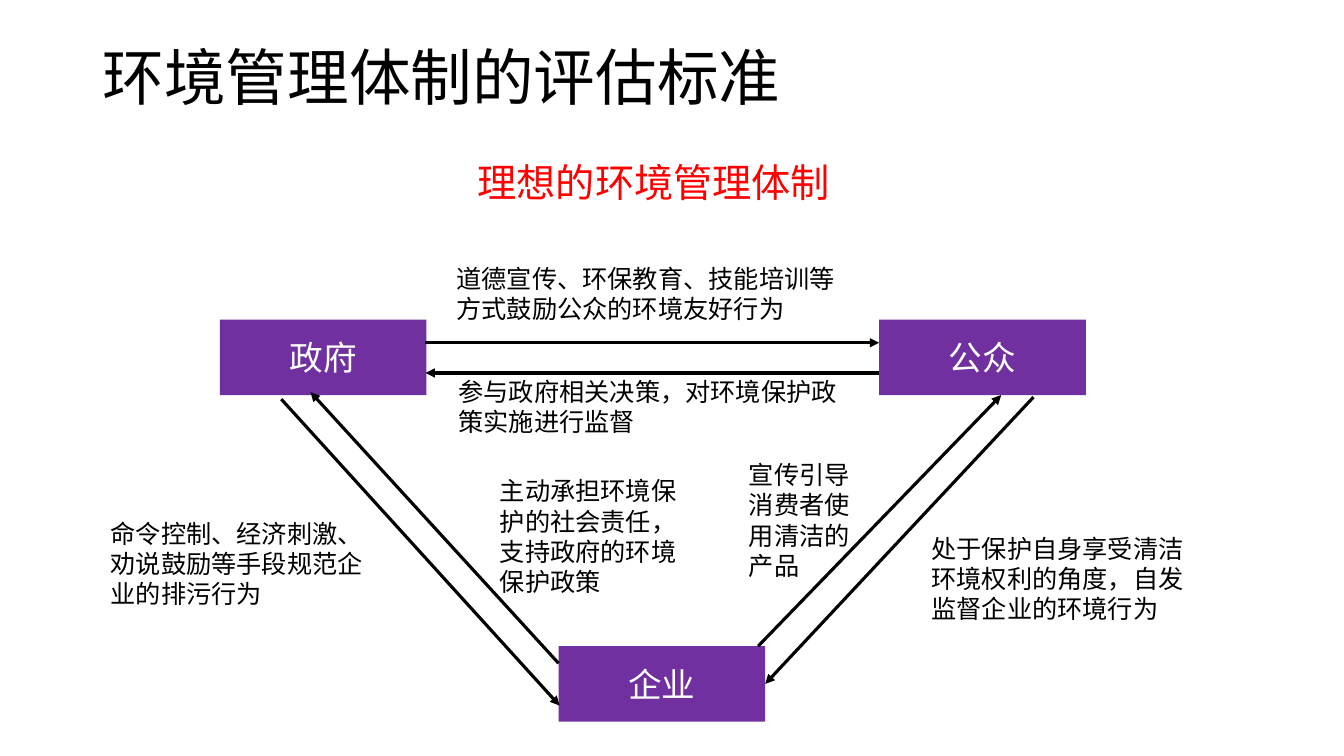
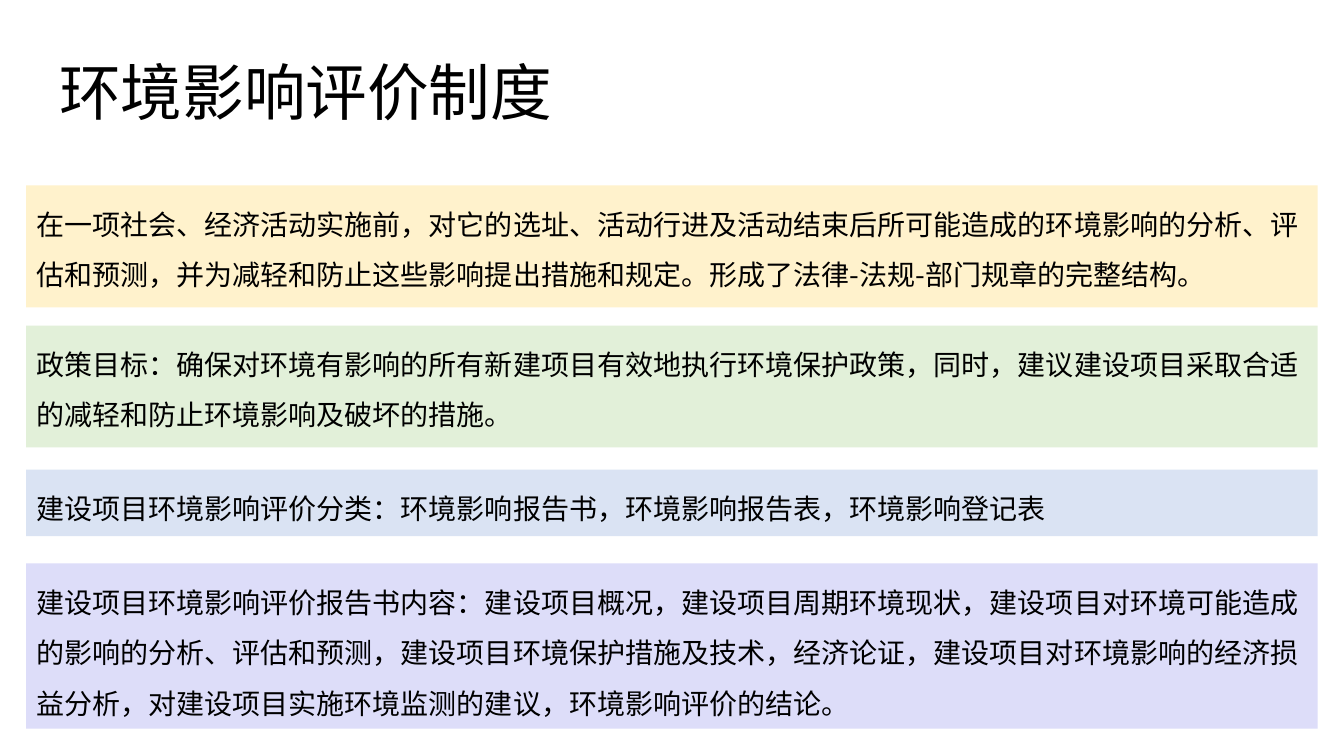
from dataclasses import dataclass

from lxml.etree import SubElement
from pptx import Presentation
from pptx.dml.color import RGBColor
from pptx.enum.shapes import MSO_CONNECTOR as Connector, MSO_SHAPE as Preset
from pptx.enum.text import MSO_ANCHOR as Anchor, PP_ALIGN as Align
from pptx.oxml.ns import qn
from pptx.util import Inches, Pt


@dataclass(frozen=True)
class Theme:
    """Colours, font and type sizes shared by the slides."""
    font: str = "Noto Sans CJK SC"
    ink: str = "000000"
    light: str = "FFFFFF"
    accent: str = "FF0000"
    actor: str = "7030A0"
    bands: tuple = ("FFF2CC", "E2F0D9", "DAE3F3", "DDDDF9")
    title: int = 44
    subtitle: int = 28
    actor_size: int = 24
    body: int = 20
    label: int = 18
    arrow: float = 2.25


THEME = Theme()
ACTOR_SIZE = (2.05, 0.75)
BAND_LEFT, BAND_WIDTH = 0.26, 12.81

ACTORS = {"政府": (2.18, 3.17), "公众": (8.72, 3.17), "企业": (5.54, 6.41)}
ARROWS = [
    ((4.22, 3.4), (8.72, 3.4)),
    ((8.72, 3.7), (4.22, 3.7)),
    ((2.79, 3.96), (5.55, 7)),
    ((5.54, 6.58), (3.08, 3.89)),
    ((7.52, 6.41), (9.93, 3.92)),
]
LABELS = [
    ((1, 5.09, 2.8, 1.01), "命令控制、经济刺激、劝说鼓励等手段规范企业的排污行为"),
    ((4.43, 2.56, 4.1, 0.71), "道德宣传、环保教育、技能培训等方式鼓励公众的环境友好行为"),
    ((9.14, 5.24, 2.8, 1.01), "处于保护自身享受清洁环境权利的角度，自发监督企业的环境行为"),
    ((4.45, 3.68, 4.1, 0.71), "参与政府相关决策，对环境保护政策实施进行监督"),
    ((4.86, 4.67, 2.07, 1.31), "主动承担环境保护的社会责任，支持政府的环境保护政策"),
    ((7.33, 4.51, 1.44, 1.31), "宣传引导消费者使用清洁的产品"),
]
BANDS = [
    (1.84, 1.21, "在一项社会、经济活动实施前，对它的选址、活动行进及活动结束后所可能造成的环境影响的分析、"
                 "评估和预测，并为减轻和防止这些影响提出措施和规定。形成了法律-法规-部门规章的完整结构。"),
    (3.23, 1.21, "政策目标：确保对环境有影响的所有新建项目有效地执行环境保护政策，同时，"
                 "建议建设项目采取合适的减轻和防止环境影响及破坏的措施。"),
    (4.66, 0.66, "建设项目环境影响评价分类：环境影响报告书，环境影响报告表，环境影响登记表"),
    (5.59, 1.64, "建设项目环境影响评价报告书内容：建设项目概况，建设项目周期环境现状，"
                 "建设项目对环境可能造成的影响的分析、评估和预测，建设项目环境保护措施及技术，经济论证，"
                 "建设项目对环境影响的经济损益分析，对建设项目实施环境监测的建议，环境影响评价的结论。"),
]


def write(shape, text, size, color=THEME.ink, align=Align.LEFT, anchor=Anchor.TOP, spacing=1.0):
    """Fill a shape with one wrapped paragraph."""
    frame = shape.text_frame
    frame.word_wrap = True
    frame.vertical_anchor = anchor
    paragraph = frame.paragraphs[0]
    paragraph.alignment = align
    paragraph.line_spacing = spacing
    run = paragraph.add_run()
    run.text = text
    run.font.size = Pt(size)
    run.font.color.rgb = RGBColor.from_string(color)
    run.font.name = THEME.font
    SubElement(run.font._element, qn("a:ea"), typeface=THEME.font)


def add_text(slide, box, text, size, **style):
    """Add a text box."""
    write(slide.shapes.add_textbox(*map(Inches, box)), text, size, **style)


def add_title(slide, box, text):
    """Add the slide title."""
    add_text(slide, box, text, THEME.title, anchor=Anchor.MIDDLE, spacing=0.9)


def add_block(slide, box, fill, text, size, **style):
    """Add a flat filled rectangle with text."""
    block = slide.shapes.add_shape(Preset.RECTANGLE, *map(Inches, box))
    block.shadow.inherit = False
    block.fill.solid()
    block.fill.fore_color.rgb = RGBColor.from_string(fill)
    block.line.fill.background()
    write(block, text, size, **style)
    return block


def add_arrow(slide, start, end):
    """Add a straight arrow pointing at its end."""
    arrow = slide.shapes.add_connector(Connector.STRAIGHT, *map(Inches, (*start, *end)))
    arrow.line.color.rgb = RGBColor.from_string(THEME.ink)
    arrow.line.width = Pt(THEME.arrow)
    SubElement(arrow.line._get_or_add_ln(), qn("a:tailEnd"), type="triangle")
    SubElement(arrow._element.spPr, qn("a:effectLst"))
    return arrow


def build_system_slide(slide):
    """Draw the three actors and their mutual influence."""
    add_title(slide, (0.92, 0.21, 11.5, 1.17), "环境管理体制的评估标准")
    add_text(slide, (0.25, 1.57, 12.47, 0.63), "理想的环境管理体制", THEME.subtitle,
             color=THEME.accent, align=Align.CENTER, spacing=0.9)
    actors = {
        name: add_block(slide, (*corner, *ACTOR_SIZE), THEME.actor, name, THEME.actor_size,
                        color=THEME.light, align=Align.CENTER, anchor=Anchor.MIDDLE)
        for name, corner in ACTORS.items()
    }
    for start, end in ARROWS:
        add_arrow(slide, start, end)
    supervision = add_arrow(slide, (10.25, 3.94), (7.59, 6.79))
    supervision.end_connect(actors["企业"], 3)
    for box, text in LABELS:
        add_text(slide, box, text, THEME.label)


def build_assessment_slide(slide):
    """Stack the coloured bands on impact assessment."""
    add_title(slide, (0.49, 0.22, 11.5, 1.45), "环境影响评价制度")
    for (top, height, text), fill in zip(BANDS, THEME.bands):
        add_block(slide, (BAND_LEFT, top, BAND_WIDTH, height), fill, text, THEME.body, spacing=1.5)


def main():
    """Build and save the presentation."""
    presentation = Presentation()
    presentation.slide_width, presentation.slide_height = Inches(13.33), Inches(7.5)
    for build in (build_system_slide, build_assessment_slide):
        build(presentation.slides.add_slide(presentation.slide_layouts[6]))
    presentation.save("out.pptx")


if __name__ == "__main__":
    main()
